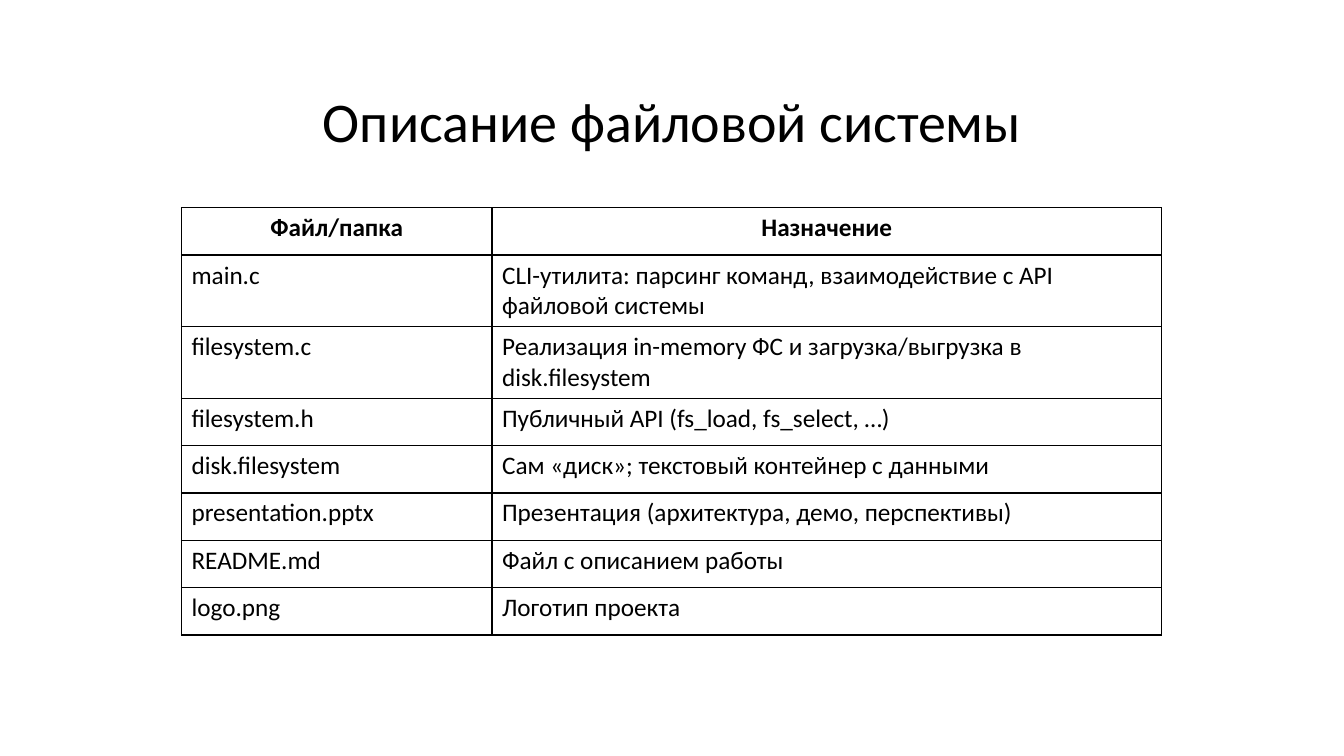
from lxml.etree import SubElement
from pptx import Presentation
from pptx.dml.color import RGBColor
from pptx.enum.text import PP_ALIGN
from pptx.oxml.ns import qn
from pptx.util import Inches, Pt

COLORS = {"text": "000000", "border": "000000", "background": "FFFFFF"}
FONT = "Calibri"
HEADER = ("Файл/папка", "Назначение")
FILES = [
    ("main.c", "CLI-утилита: парсинг команд, взаимодействие с API файловой системы"),
    ("filesystem.c", "Реализация in-memory ФС и загрузка/выгрузка в disk.filesystem"),
    ("filesystem.h", "Публичный API (fs_load, fs_select, …)"),
    ("disk.filesystem", "Сам «диск»; текстовый контейнер с данными"),
    ("presentation.pptx", "Презентация (архитектура, демо, перспективы)"),
    ("README.md", "Файл с описанием работы"),
    ("logo.png", "Логотип проекта"),
]


def write_text(frame, text, size=18, bold=False, align=PP_ALIGN.LEFT, color="text"):
    frame.word_wrap = True
    para = frame.paragraphs[0]
    para.alignment = align
    span = para.add_run()
    span.text = text
    span.font.name = FONT
    span.font.size = Pt(size)
    span.font.bold = bold
    span.font.color.rgb = RGBColor.from_string(COLORS[color])


def add_borders(cell, width=1):
    properties = cell._tc.get_or_add_tcPr()
    for side in ("a:lnL", "a:lnR", "a:lnT", "a:lnB"):
        line = SubElement(properties, qn(side), w=str(Pt(width)))
        fill = SubElement(line, qn("a:solidFill"))
        SubElement(fill, qn("a:srgbClr"), val=COLORS["border"])


def add_title(page, left, top, width, height):
    box = page.shapes.add_textbox(Inches(left), Inches(top), Inches(width), Inches(height))
    write_text(box.text_frame, "Описание файловой системы", size=40, align=PP_ALIGN.CENTER)


def add_file_table(page, left, top, width, row_height, name_width):
    rows = [HEADER, *FILES]
    frame = page.shapes.add_table(
        len(rows), len(HEADER), Inches(left), Inches(top),
        Inches(width), Inches(row_height * len(rows)),
    )
    table = frame.table
    table.first_row = False
    table.horz_banding = False
    table.columns[0].width = Inches(name_width)
    table.columns[1].width = Inches(width - name_width)
    for row_index, texts in enumerate(rows):
        table.rows[row_index].height = Inches(row_height)
        is_header = row_index == 0
        for column_index, text in enumerate(texts):
            cell = table.cell(row_index, column_index)
            add_borders(cell)
            cell.fill.background()
            write_text(
                cell.text_frame, text, bold=is_header,
                align=PP_ALIGN.CENTER if is_header else PP_ALIGN.LEFT,
            )


def main():
    deck = Presentation()
    deck.slide_width = Inches(13.33)
    deck.slide_height = Inches(7.5)
    page = deck.slides.add_slide(deck.slide_layouts[6])
    page.background.fill.solid()
    page.background.fill.fore_color.rgb = RGBColor.from_string(COLORS["background"])
    add_file_table(page, left=1.8, top=2.06, width=9.72, row_height=0.47, name_width=3.08)
    add_title(page, left=2.99, top=0.81, width=7.35, height=0.77)
    deck.save("out.pptx")


if __name__ == "__main__":
    main()
